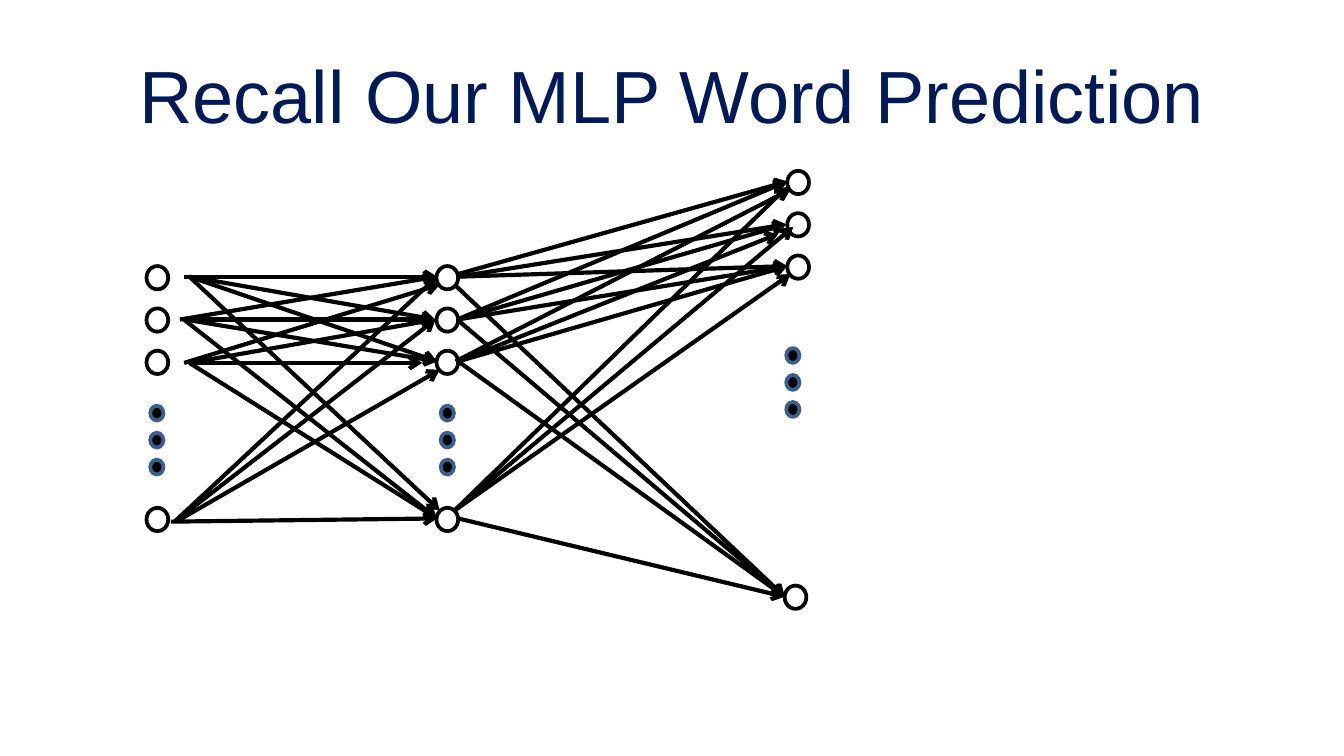
"""Build a slide that shows a multilayer perceptron with three layers."""
import pptx
import pptx.dml.color
import pptx.enum.shapes
import pptx.enum.text
import pptx.oxml
import pptx.oxml.ns
import pptx.util

Cm = pptx.util.Cm
Pt = pptx.util.Pt

COLORS = {
    "title": "001A57",
    "ink": "000000",
    "node": "FFFFFF",
    "dot_line": "3A5F8C",
}
NODE_SIZE = (0.41, 0.44)
DOT_SIZE = (0.25, 0.28)
NODE_PITCH = 0.8
DOT_PITCH = 0.51

INPUT_LAYER = {"left": 2.77, "top": 5.03, "last": (2.77, 9.6), "dots": (2.84, 7.67)}
HIDDEN_LAYER = {"left": 8.25, "top": 5.03, "last": (8.25, 9.6), "dots": (8.33, 7.67)}
OUTPUT_LAYER = {"left": 14.88, "top": 3.23, "last": (14.83, 11.07), "dots": (14.86, 6.58)}

INPUT_TO_HIDDEN = {
    "starts": [(3.58, 5.23), (3.5, 6.04), (3.58, 6.86), (3.3, 9.86)],
    "ends": [(8.26, 5.23), (8.23, 6.04), (8.26, 6.83), (8.26, 9.8)],
    "special_starts": {
        (0, 0): (3.48, 5.23), (1, 0): (3.4, 6.04), (1, 3): (3.45, 6.02),
        (2, 0): (3.48, 6.86), (3, 2): (3.33, 9.86), (3, 3): (3.23, 9.86),
    },
    "special_ends": {
        (0, 3): (8.31, 9.65), (2, 0): (8.31, 5.38),
        (2, 2): (7.98, 6.86), (3, 2): (8.31, 6.99),
    },
}
HIDDEN_TO_OUTPUT = {
    "starts": [(8.66, 5.23), (8.64, 6.04), (8.66, 6.83), (8.59, 9.65)],
    "ends": [(14.88, 3.43), (14.86, 4.24), (14.88, 5.03), (14.83, 11.28)],
    "special_starts": {
        (0, 0): (8.66, 5.18), (0, 3): (8.59, 5.38),
        (2, 0): (8.61, 6.83), (3, 3): (8.66, 9.8),
    },
    "special_ends": {
        (2, 0): (14.94, 3.58), (2, 1): (14.71, 4.42), (3, 0): (14.88, 3.53),
        (3, 1): (14.99, 4.29), (3, 2): (14.94, 5.18),
    },
}


def rgb(name):
    """Return the named colour."""
    return pptx.dml.color.RGBColor.from_string(COLORS[name])


def add_text(slide, text, left, top, width, height, size, color, font="Arial"):
    """Add a centred line of text in a box."""
    frame = slide.shapes.add_textbox(Cm(left), Cm(top), Cm(width), Cm(height)).text_frame
    frame.word_wrap = True
    frame.vertical_anchor = pptx.enum.text.MSO_ANCHOR.MIDDLE
    paragraph = frame.paragraphs[0]
    paragraph.alignment = pptx.enum.text.PP_ALIGN.CENTER
    run = paragraph.add_run()
    run.text = text
    run.font.name = font
    run.font.size = Pt(size)
    run.font.color.rgb = rgb(color)


def add_circle(shapes, position, size, fill, line):
    """Add a round node or dot."""
    shape = shapes.add_shape(
        pptx.enum.shapes.MSO_SHAPE.FLOWCHART_CONNECTOR,
        *(Cm(length) for length in (*position, *size)),
    )
    shape.shadow.inherit = False
    shape.fill.solid()
    shape.fill.fore_color.rgb = rgb(fill)
    shape.line.color.rgb = rgb(line)
    shape.line.width = Pt(2)


def add_layer(shapes, left, top, last, dots):
    """Add three nodes, a last node and the dots between them."""
    nodes = [(left, top + row * NODE_PITCH) for row in range(3)] + [last]
    for position in nodes:
        add_circle(shapes, position, NODE_SIZE, "node", "ink")
    for row in range(3):
        position = (dots[0], dots[1] + row * DOT_PITCH)
        add_circle(shapes, position, DOT_SIZE, "ink", "dot_line")


def add_arrow(slide, start, end):
    """Add a straight arrow between two points."""
    connector = slide.shapes.add_connector(
        pptx.enum.shapes.MSO_CONNECTOR.STRAIGHT,
        *(Cm(length) for length in (*start, *end)),
    )
    connector.line.color.rgb = rgb("ink")
    connector.line.width = Pt(2.25)
    head = pptx.oxml.parse_xml(
        f'<a:tailEnd {pptx.oxml.ns.nsdecls("a")} type="arrow"/>'
    )
    connector.line._get_or_add_ln().append(head)
    effects = pptx.oxml.parse_xml(f'<a:effectLst {pptx.oxml.ns.nsdecls("a")}/>')
    connector._element.spPr.append(effects)


def add_weights(slide, starts, ends, special_starts, special_ends):
    """Join every node of one layer to every node of the next."""
    for source, start in enumerate(starts):
        for target, end in enumerate(ends):
            pair = (source, target)
            add_arrow(slide, special_starts.get(pair, start), special_ends.get(pair, end))


def main():
    """Build and save the slide."""
    presentation = pptx.Presentation()
    presentation.slide_width = Cm(25.4)
    presentation.slide_height = Cm(14.29)
    slide = presentation.slides.add_slide(presentation.slide_layouts[6])

    for layer in (INPUT_LAYER, HIDDEN_LAYER):
        add_layer(slide.shapes.add_group_shape().shapes, **layer)
    add_weights(slide, **INPUT_TO_HIDDEN)
    add_layer(slide.shapes, **OUTPUT_LAYER)
    add_weights(slide, **HIDDEN_TO_OUTPUT)
    add_text(slide, "Recall Our MLP Word Prediction", left=1.27, top=0.58,
             width=22.86, height=2.39, size=39.6, color="title")
    presentation.save("out.pptx")


if __name__ == "__main__":
    main()
